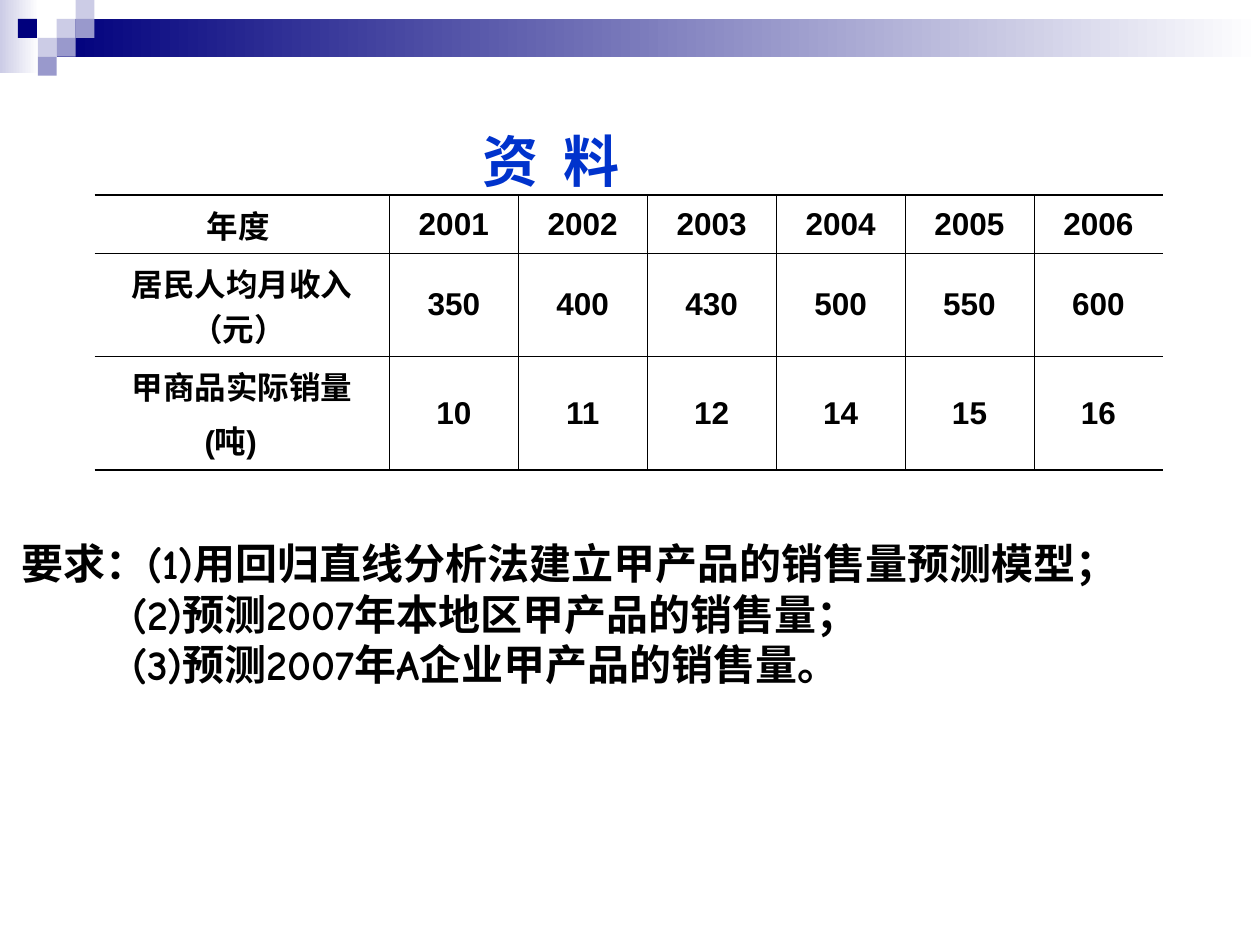
from lxml import etree
from pptx import Presentation
from pptx.dml.color import RGBColor
from pptx.enum.shapes import MSO_SHAPE
from pptx.enum.text import MSO_ANCHOR, PP_ALIGN
from pptx.oxml.ns import qn
from pptx.util import Inches, Pt

RECTANGLE = MSO_SHAPE.RECTANGLE
MIDDLE = MSO_ANCHOR.MIDDLE
CENTER = PP_ALIGN.CENTER
NAVY, MIST, LILAC = "00007D", "CCCCE6", "9999CC"
WHITE, BLACK, BLUE = "FFFFFF", "000000", "0033CC"
THIN, THICK = 0.45, 1.08

ROWS = [
    ["年度 ", "2001", "2002", "2003", "2004", "2005", "2006"],
    ["居民人均月收入（元） ", "350", "400", "430", "500", "550", "600"],
    ["甲商品实际销量(吨)", "10", "11", "12", "14", "15", "16"],
]
ROW_HEIGHTS = [0.46, 0.82, 0.9]
TASKS = [
    "要求：(1)用回归直线分析法建立甲产品的销售量预测模型；",
    "(2)预测2007年本地区甲产品的销售量；",
    "(3)预测2007年A企业甲产品的销售量。",
]


def color(value):
    return RGBColor.from_string(value)


def add_text(para, text, size=18, font="Arial", fill=BLACK):
    span = para.add_run()
    span.text = text
    span.font.size = Pt(size)
    span.font.name = font
    span.font.bold = True
    span.font.color.rgb = color(fill)


def add_block(page, left, top, width, height, fill, fades=False):
    """Add a plain rectangle; a fading one turns white to the right."""
    block = page.shapes.add_shape(
        RECTANGLE, Inches(left), Inches(top), Inches(width), Inches(height))
    block.shadow.inherit = False
    block.line.fill.background()
    if fades:
        block.fill.gradient()
        block.fill.gradient_angle = 180
        for stop, shade in zip(block.fill.gradient_stops, (WHITE, fill)):
            stop.color.rgb = color(shade)
    else:
        block.fill.solid()
        block.fill.fore_color.rgb = color(fill)


def add_banner(page, left, top, width):
    unit = 0.15
    add_block(page, left, top, 0.31, 0.58, MIST, fades=True)
    add_block(page, left + 3 * unit, top + unit, width - 3 * unit, 2 * unit,
              NAVY, fades=True)
    squares = [(3, 1, MIST), (4, 0, MIST), (4, 1, LILAC), (2, 2, MIST),
               (0.95, 1, NAVY), (3, 2, LILAC), (2, 3, LILAC)]
    for column, row, fill in squares:
        add_block(page, left + column * unit, top + row * unit, unit, unit, fill)


def add_text_box(page, left, top, width, height):
    box = page.shapes.add_textbox(
        Inches(left), Inches(top), Inches(width), Inches(height))
    box.text_frame.word_wrap = True
    box.text_frame.vertical_anchor = MIDDLE
    return box.text_frame


def add_title(page, left, top, width, height):
    frame = add_text_box(page, left, top, width, height)
    frame.margin_left = Inches(3.33)
    add_text(frame.paragraphs[0], "资  料", size=32, fill=BLUE)


def set_borders(cell, **widths):
    """Draw the cell sides L, R, T and B in points; zero hides a side."""
    properties = cell._tc.get_or_add_tcPr()
    for side, width in widths.items():
        line = etree.SubElement(properties, qn(f"a:ln{side}"), w=str(Pt(width)))
        if width:
            fill = etree.SubElement(line, qn("a:solidFill"))
            etree.SubElement(fill, qn("a:srgbClr"), val=BLACK)
        else:
            etree.SubElement(line, qn("a:noFill"))


def add_data_table(page, left, top, width):
    last_row, last_column = len(ROWS) - 1, len(ROWS[0]) - 1
    table = page.shapes.add_table(
        len(ROWS), len(ROWS[0]), Inches(left), Inches(top),
        Inches(width), Inches(sum(ROW_HEIGHTS))).table
    table.first_row = table.horz_banding = False
    label_width = 2.34
    for index, column in enumerate(table.columns):
        column.width = Inches(
            (width - label_width) / last_column if index else label_width)
    for row, row_height in zip(table.rows, ROW_HEIGHTS):
        row.height = Inches(row_height)
    for r, values in enumerate(ROWS):
        for c, value in enumerate(values):
            cell = table.cell(r, c)
            set_borders(cell,
                        L=THIN if c else 0,
                        R=THIN if c < last_column else 0,
                        T=THIN if r else THICK,
                        B=THIN if r < last_row else THICK)
            cell.fill.background()
            cell.vertical_anchor = MIDDLE
            para = cell.text_frame.paragraphs[0]
            para.alignment = CENTER
            para.space_before = Pt(4.5)
            add_text(para, value)
    unit_label = table.cell(last_row, 0).text_frame.paragraphs[0]
    add_text(unit_label, " ", size=28)
    add_text(unit_label, " ")


def add_tasks(page, left, top, width, height):
    frame = add_text_box(page, left, top, width, height)
    for index, task in enumerate(TASKS):
        para = frame.add_paragraph() if index else frame.paragraphs[0]
        indent = Inches(0.95 if index else 0.07)
        para._p.get_or_add_pPr().set("marL", str(indent))
        add_text(para, task, size=24, font="Comic Neue")


def main():
    deck = Presentation()
    deck.slide_width, deck.slide_height = Inches(10), Inches(7.5)
    page = deck.slides.add_slide(deck.slide_layouts[6])
    add_banner(page, 0, 0, 10)
    add_title(page, 0.5, 0.52, 9, 1.5)
    add_data_table(page, 0.75, 1.55, 8.48)
    add_tasks(page, 0, 4.22, 10.06, 1.3)
    deck.save("out.pptx")


if __name__ == "__main__":
    main()
